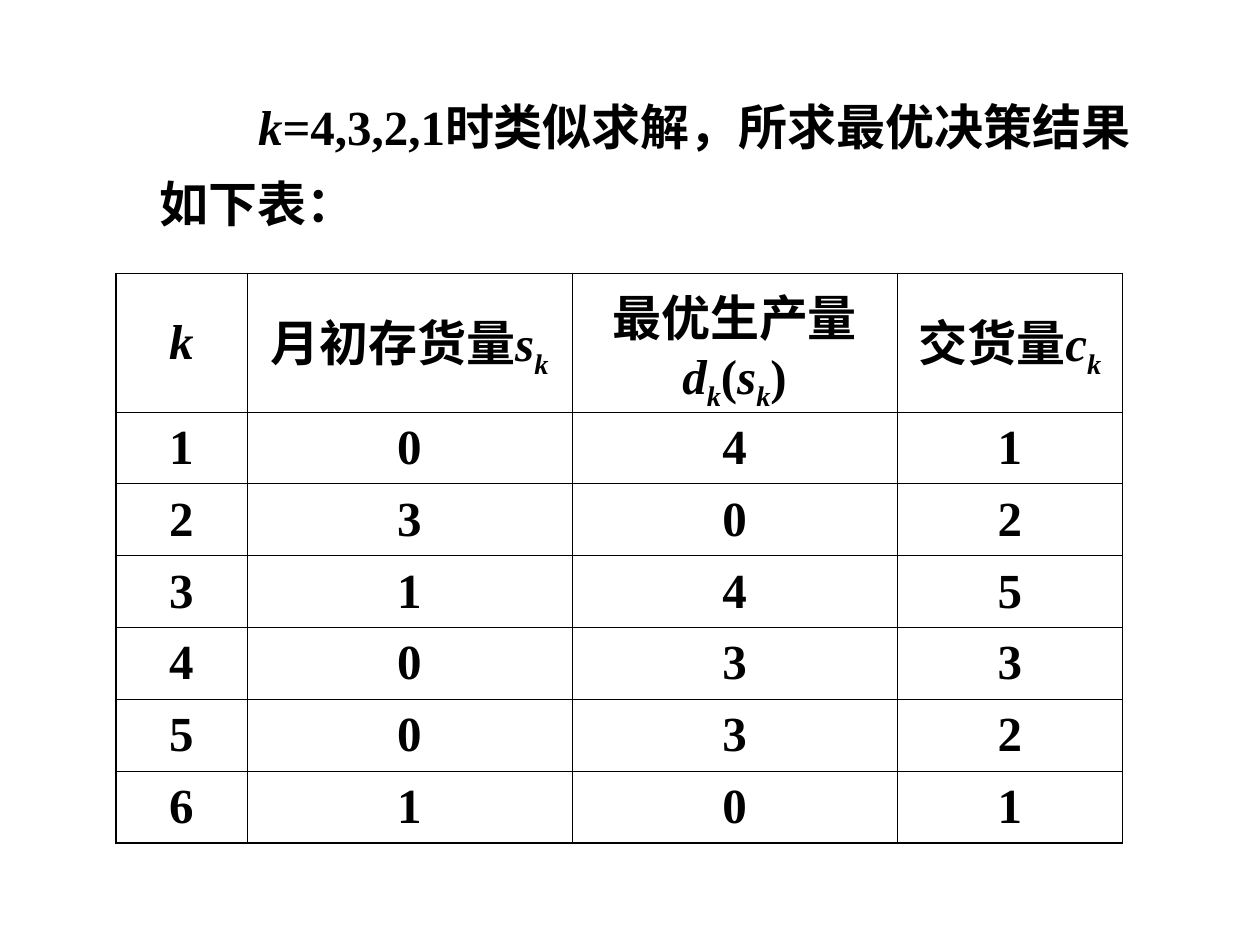
import pptx
import pptx.dml.color
import pptx.enum.text
import pptx.oxml
import pptx.oxml.ns
import pptx.util
from pptx.util import Inches

BLACK = "000000"
THIN, THICK = 0.45, 1.08
COL_WIDTHS = [1.04, 2.58, 2.58, 1.79]
HEADER_HEIGHT, ROW_HEIGHT = 1.1, 0.57

# Each run is (text, style): "i" is italic, "_" is subscript.
INTRO = [("k", "i"), ("=4,3,2,1时类似求解，所求最优决策结果如下表：", "")]
HEADERS = [
    [("k", "i")],
    [("月初存货量", ""), ("s", "i"), ("k", "i_")],
    [("最优生产量", ""), ("d", "i"), ("k", "i_"), ("(", ""),
     ("s", "i"), ("k", "i_"), (")", "")],
    [("交货量", ""), ("c", "i"), ("k", "i_")],
]
RESULTS = [(1, 0, 4, 1), (2, 3, 0, 2), (3, 1, 4, 5),
           (4, 0, 3, 3), (5, 0, 3, 2), (6, 1, 0, 1)]


def rgb(value):
    return pptx.dml.color.RGBColor.from_string(value)


def write_runs(p, runs):
    p.font.name = "Times New Roman"
    p.font.size = pptx.util.Pt(28)
    p.font.bold = True
    p.font.color.rgb = rgb(BLACK)
    for text, style in runs:
        r = p.add_run()
        r.text = text
        r.font.italic = "i" in style
        if "_" in style:
            r.font._element.set("baseline", "-25000")


def add_intro(s):
    box = s.shapes.add_textbox(Inches(1.17), Inches(0.58), Inches(7.92), Inches(1.32))
    tf = box.text_frame
    tf.word_wrap = True
    tf.auto_size = pptx.enum.text.MSO_AUTO_SIZE.SHAPE_TO_FIT_TEXT
    p = tf.paragraphs[0]
    p.line_spacing = 1.3
    p._p.get_or_add_pPr().set("indent", str(Inches(0.78)))
    write_runs(p, INTRO)


def set_borders(cell, widths):
    """Draw the left, right, top and bottom borders, with widths in points."""
    tc_pr = cell._tc.get_or_add_tcPr()
    for side, width in zip("LRTB", widths):
        tc_pr.append(pptx.oxml.parse_xml(
            f'<a:ln{side} {pptx.oxml.ns.nsdecls("a")} w="{pptx.util.Pt(width)}">'
            f'<a:solidFill><a:srgbClr val="{BLACK}"/></a:solidFill></a:ln{side}>'))


def fill_cell(cell, runs, widths):
    set_borders(cell, widths)
    cell.fill.background()
    cell.vertical_anchor = pptx.enum.text.MSO_ANCHOR.MIDDLE
    p = cell.text_frame.paragraphs[0]
    p.alignment = pptx.enum.text.PP_ALIGN.CENTER
    write_runs(p, runs)


def add_results_table(s):
    rows = [HEADERS] + [[[(str(n), "")] for n in row] for row in RESULTS]
    heights = [HEADER_HEIGHT] + [ROW_HEIGHT] * len(RESULTS)
    last_row, last_col = len(rows) - 1, len(COL_WIDTHS) - 1
    table = s.shapes.add_table(
        len(rows), len(COL_WIDTHS), Inches(0.92), Inches(2.17),
        Inches(sum(COL_WIDTHS)), Inches(sum(heights))).table
    table.first_row = table.horz_banding = False
    for column, width in zip(table.columns, COL_WIDTHS):
        column.width = Inches(width)
    for i, (row, height) in enumerate(zip(rows, heights)):
        table.rows[i].height = Inches(height)
        for j, runs in enumerate(row):
            on_edge = (j == 0, j == last_col, i == 0, i == last_row)
            fill_cell(table.cell(i, j), runs,
                      [THICK if edge else THIN for edge in on_edge])


def main():
    prs = pptx.Presentation()
    prs.slide_width, prs.slide_height = Inches(10), Inches(7.5)
    s = prs.slides.add_slide(prs.slide_layouts[6])
    add_intro(s)
    add_results_table(s)
    prs.save("out.pptx")


if __name__ == "__main__":
    main()
